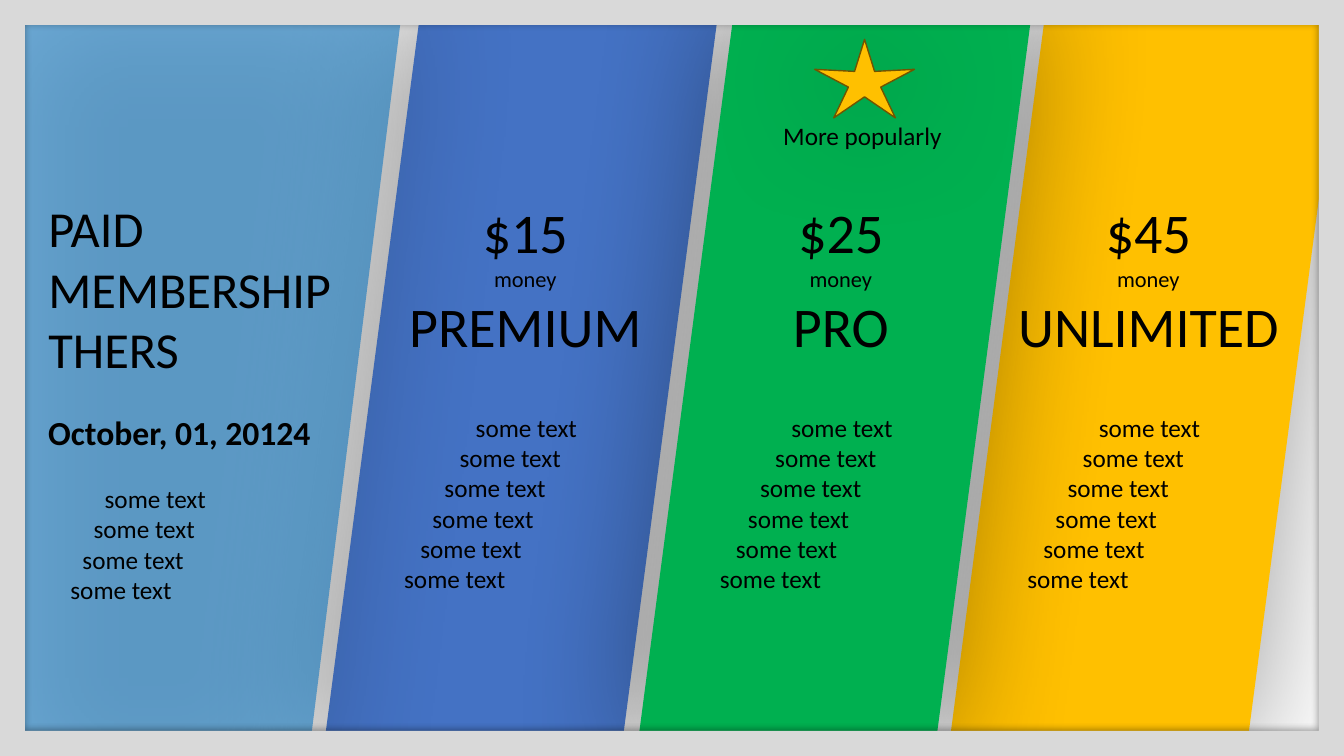
"""Build a membership pricing slide with three slanted plan stripes."""
from lxml import etree
from pptx import Presentation
from pptx.dml.color import RGBColor
from pptx.enum import shapes, text
from pptx.oxml import ns
from pptx.util import Inches, Pt

BLACK = RGBColor(0x00, 0x00, 0x00)
BLUE = RGBColor(0x44, 0x72, 0xC4)
GREEN = RGBColor(0x00, 0xB0, 0x50)
GOLD = RGBColor(0xFF, 0xC0, 0x00)
BROWN = RGBColor(0x70, 0x54, 0x00)
SKY = RGBColor(0x00, 0x70, 0xC0)
GREY = RGBColor(0xD9, 0xD9, 0xD9)

WIDTH, HEIGHT = 13.33, 7.5
STRIPE_WIDTH = 3.94
PRICE_TOP, DETAIL_TOP = 1.91, 4.04
FONT = "Calibri"
TITLE = "PAID MEMBERSHIP THERS"
DATE = "October, 01, 20124"
FEATURE = "some text"
PLAN_INDENTS = (1.16, 1.0, 0.85, 0.73, 0.61, 0.45)
INTRO_INDENTS = (0.56, 0.45, 0.34, 0.22)
BADGE = "More popularly"
PLANS = (
    {"name": "UNLIMITED", "price": "$45", "color": GOLD, "left": 9.4, "text_left": 9.62},
    {"name": "PREMIUM", "price": "$15", "color": BLUE, "left": 3.2, "text_left": 3.44},
    {"name": "PRO", "price": "$25", "color": GREEN, "left": 6.31, "text_left": 6.57,
     "badge": True},
)


def style(shape, color, blur=100):
    """Give a shape a plain fill, no line and a soft black shadow."""
    shape.fill.solid()
    shape.fill.fore_color.rgb = color
    shape.line.fill.background()
    shape.shadow.inherit = False
    effects = shape._element.spPr.find(ns.qn("a:effectLst"))
    shadow = etree.SubElement(effects, ns.qn("a:outerShdw"), blurRad=str(Pt(blur)),
                              dist="0", dir="0", algn="ctr", rotWithShape="0")
    shade = etree.SubElement(shadow, ns.qn("a:srgbClr"), val=str(BLACK))
    etree.SubElement(shade, ns.qn("a:alpha"), val="40000")


def add_preset(parent, kind, box, color, blur=100):
    """Add a styled preset shape."""
    shape = parent.add_shape(kind, *map(Inches, box))
    style(shape, color, blur)
    return shape


def write(frame, lines):
    """Write one paragraph per line of text, size and options."""
    frame.word_wrap = True
    frame.auto_size = text.MSO_AUTO_SIZE.SHAPE_TO_FIT_TEXT
    frame.vertical_anchor = text.MSO_ANCHOR.TOP
    for number, (words, size, options) in enumerate(lines):
        paragraph = frame.add_paragraph() if number else frame.paragraphs[0]
        paragraph.alignment = options.get("align", text.PP_ALIGN.LEFT)
        paragraph.line_spacing = 1.0
        paragraph.space_after = Pt(options.get("after", 0))
        if "indent" in options:
            paragraph._p.get_or_add_pPr().set("marL", str(Inches(options["indent"])))
        run = paragraph.add_run()
        run.text = words
        run.font.name = FONT
        run.font.size = Pt(size)
        run.font.bold = options.get("bold", False)
        run.font.color.rgb = BLACK


def add_text(parent, box, lines):
    """Add a text box holding the given lines."""
    write(parent.add_textbox(*map(Inches, box)).text_frame, lines)


def features(indents):
    """Return the feature lines, stepped along the slant."""
    return [(FEATURE, 18, {"indent": indent}) for indent in indents]


def add_plan(slide, plan):
    """Add one plan stripe with its price, name and features."""
    group = slide.shapes.add_group_shape().shapes
    add_preset(group, shapes.MSO_SHAPE.PARALLELOGRAM,
               (plan["left"], 0, STRIPE_WIDTH, HEIGHT), plan["color"])
    centered = {"align": text.PP_ALIGN.CENTER}
    add_text(group, (plan["text_left"], PRICE_TOP, 3.54, 1.72),
             [(plan["price"], 40, centered), ("money", 16, centered),
              (plan["name"], 40, centered)])
    add_text(group, (plan["text_left"] + 0.02, DETAIL_TOP, 3.52, 1.92),
             features(PLAN_INDENTS))
    if plan.get("badge"):
        star = add_preset(group, shapes.MSO_SHAPE.STAR_5_POINT, (8.08, 0.39, 0.99, 0.78), GOLD)
        star.adjustments[0] = 0.162
        star.line.color.rgb = BROWN
        star.line.width = Pt(1)
        add_text(group, (7.67, 1.14, 2.06, 0.4), [(BADGE, 18, {})])


def add_intro(slide):
    """Add the translucent left panel with the title, date and features."""
    builder = slide.shapes.build_freeform(0, 0, scale=Inches(1))
    builder.add_line_segments([(4.07, 0), (3.09, HEIGHT), (0, HEIGHT)])
    panel = builder.convert_to_shape()
    style(panel, SKY)
    color = panel._element.spPr.find(ns.qn("a:solidFill"))[0]
    etree.SubElement(color, ns.qn("a:alpha"), val="54000")

    title = slide.shapes.title
    title.left, title.top, title.width, title.height = map(
        Inches, (0.38, PRICE_TOP, 3.25, 1.92))
    write(title.text_frame, [(TITLE, 36, {})])
    panel._element.addnext(title._element)
    add_text(slide.shapes, (0.38, DETAIL_TOP, 3.33, 2.02),
             [(DATE, 24, {"bold": True, "after": 22}), *features(INTRO_INDENTS)])


def main():
    """Build and save the slide."""
    presentation = Presentation()
    presentation.slide_width = Inches(WIDTH)
    presentation.slide_height = Inches(HEIGHT)
    slide = presentation.slides.add_slide(presentation.slide_layouts[5])
    for plan in PLANS:
        add_plan(slide, plan)
    add_intro(slide)
    frame = add_preset(slide.shapes, shapes.MSO_SHAPE.FRAME, (0, 0, WIDTH, HEIGHT), GREY, 5)
    frame.adjustments[0] = 0.033
    presentation.save("out.pptx")


if __name__ == "__main__":
    main()
